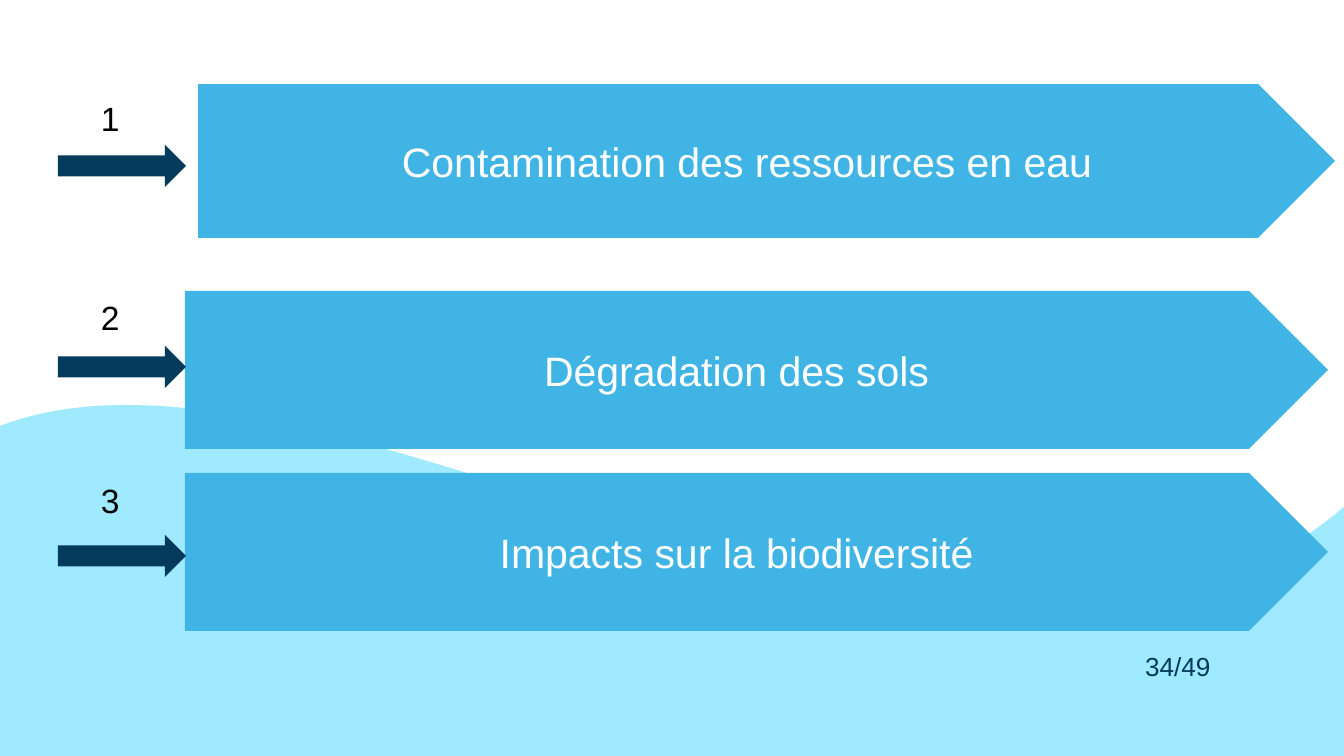
"""Build a slide with three numbered impacts above a blue wave."""
from dataclasses import dataclass

from lxml.etree import SubElement
from pptx import Presentation
from pptx.dml.color import RGBColor as Rgb
from pptx.enum.shapes import MSO_SHAPE as Kind
from pptx.enum.text import MSO_ANCHOR as Anchor, PP_ALIGN as Align
from pptx.oxml import parse_xml
from pptx.oxml.ns import nsdecls, qn
from pptx.util import Pt

SCALE = 914400 / 134.4
SKY = Rgb(0x9F, 0xEA, 0xFF)
BLUE = Rgb(0x40, 0xB4, 0xE5)
NAVY = Rgb(0x04, 0x3A, 0x5B)
WHITE = Rgb(0xFF, 0xFF, 0xFF)
BLACK = Rgb(0, 0, 0)


@dataclass(frozen=True)
class Box:
    x: int
    y: int
    w: int
    h: int


@dataclass(frozen=True)
class Item:
    text: str
    plate: Box
    label: int
    arrow: int
    edge: bool = False


ITEMS = (
    Item("Contamination des ressources en eau", Box(196, 82, 1142, 158), 91, 145, True),
    Item("Dégradation des sols", Box(185, 291, 1143, 158), 290, 346),
    Item("Impacts sur la biodiversité", Box(185, 473, 1143, 158), 473, 535),
)
CURVES = (
    ((1344, 507), (1257, 581), (1156, 607), (1046, 607)),
    ((1046, 607), (746, 607), (388, 405), (128, 405)),
    ((128, 405), (82, 405), (39, 411), (0, 426)),
)


def px(size: int) -> int:
    return round(size * SCALE)


def place(box: Box) -> tuple:
    return px(box.x), px(box.y), px(box.w), px(box.h)


def write(shape, text: str, *, size: int, color: Rgb, align=Align.CENTER,
          anchor=Anchor.MIDDLE, inset: int = 13):
    frame = shape.text_frame
    frame.word_wrap = True
    frame.vertical_anchor = anchor
    frame.margin_left = px(inset)
    par = frame.paragraphs[0]
    par.alignment = align
    run = par.add_run()
    run.text = text
    run.font.name = "Arial"
    run.font.size = Pt(size)
    run.font.color.rgb = color
    return run


def paint(shape, color: Rgb) -> None:
    shape.shadow.inherit = False
    shape.fill.solid()
    shape.fill.fore_color.rgb = color
    shape.line.fill.background()


def draw_shape(slide, kind: Kind, box: Box, color: Rgb):
    shape = slide.shapes.add_shape(kind, *place(box))
    paint(shape, color)
    return shape


def draw_wave(slide, steps: int = 40) -> None:
    points = [(1344, 756)]
    for a, b, c, d in CURVES:
        for step in range(steps + 1):
            t = step / steps
            u = 1 - t
            points.append(tuple(
                u**3 * p + 3 * u * u * t * q + 3 * u * t * t * r + t**3 * s
                for p, q, r, s in zip(a, b, c, d)))
    pen = slide.shapes.build_freeform(0, px(756), scale=1.0)
    pen.add_line_segments([(px(x), px(y)) for x, y in points], close=True)
    paint(pen.convert_to_shape(), SKY)


def draw_item(slide, rank: int, item: Item) -> None:
    plate = draw_shape(slide, Kind.PENTAGON, item.plate, BLUE)
    if item.edge:
        plate.line.color.rgb = WHITE
        plate.line.width = Pt(2)
    write(plate, item.text, size=22, color=WHITE)
    draw_shape(slide, Kind.RIGHT_ARROW, Box(58, item.arrow, 128, 42), NAVY)
    label = slide.shapes.add_textbox(*place(Box(79, item.label, 85, 54)))
    write(label, str(rank), size=18, color=BLACK, align=Align.LEFT,
          anchor=Anchor.TOP, inset=22)


def add_shade(run) -> None:
    fill = run.font._element.find(qn("a:solidFill"))
    effect = parse_xml(f"<a:effectLst {nsdecls('a')}/>")
    shade = SubElement(effect, qn("a:outerShdw"), blurRad="38100",
                       dist="38100", dir="5400000")
    tint = SubElement(shade, qn("a:srgbClr"), val="000000")
    SubElement(tint, qn("a:alpha"), val="43000")
    fill.addnext(effect)


def main() -> None:
    deck = Presentation()
    deck.slide_width, deck.slide_height = px(1344), px(756)
    slide = deck.slides.add_slide(deck.slide_layouts[6])
    draw_wave(slide)
    for rank, item in enumerate(ITEMS, 1):
        draw_item(slide, rank, item)
    page = slide.shapes.add_textbox(*place(Box(1081, 613, 194, 106)))
    add_shade(write(page, "34/49", size=14, color=NAVY))
    deck.save("out.pptx")


if __name__ == "__main__":
    main()
